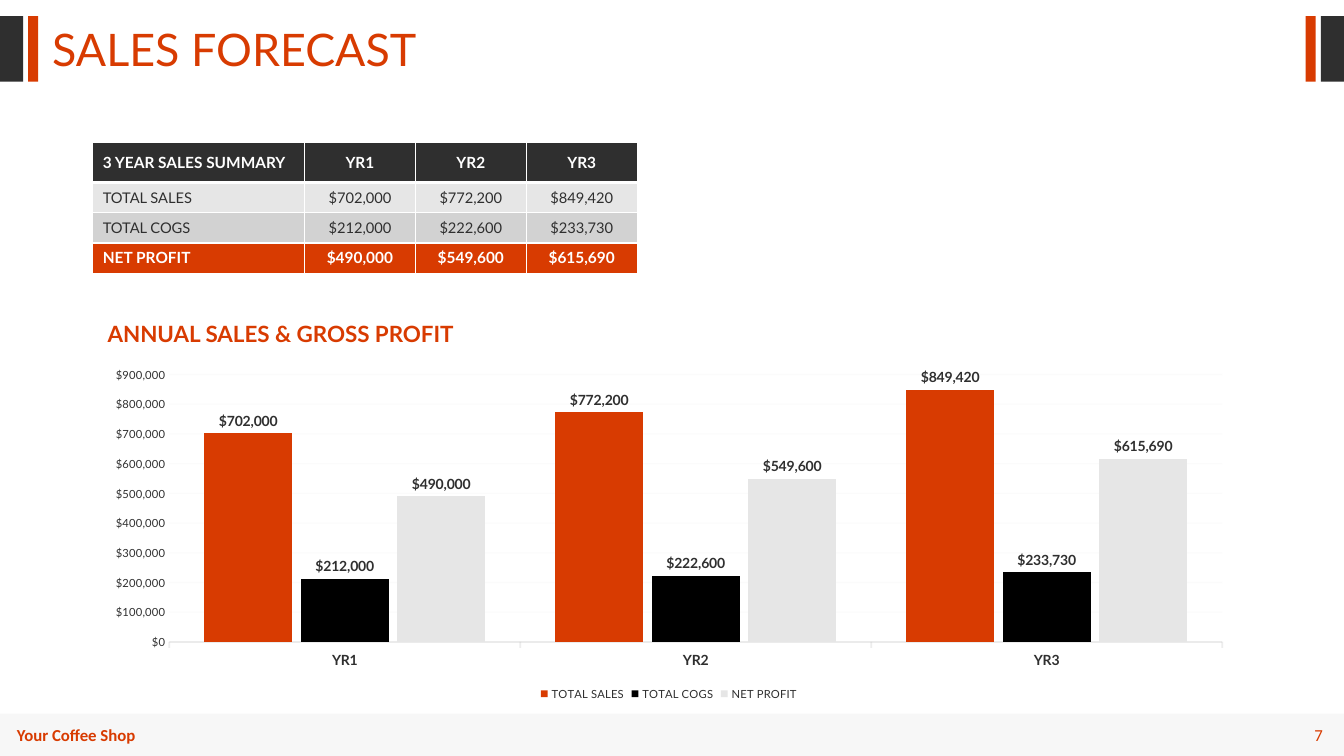
import lxml.etree
import pptx
import pptx.chart.data
import pptx.dml.color
import pptx.enum.chart
import pptx.enum.shapes
import pptx.enum.text
import pptx.oxml.ns
import pptx.util

Inches = pptx.util.Inches
Align = pptx.enum.text.PP_ALIGN
Anchor = pptx.enum.text.MSO_ANCHOR

ORANGE, DARK, LIGHT, MIDDLE, WHITE = "D83B01", "2F2F2F", "E6E6E6", "D2D2D2", "FFFFFF"
MONEY = '"$"#,##0'
YEARS = ["YR1", "YR2", "YR3"]
SALES = {
    "TOTAL SALES": [702000, 772200, 849420],
    "TOTAL COGS": [212000, 222600, 233730],
    "NET PROFIT": [490000, 549600, 615690],
}


def color(value):
    """Return the colour for a hex string."""
    return pptx.dml.color.RGBColor.from_string(value)


def paint(fill, value, opacity=100):
    """Fill solidly, with an opacity in percent."""
    fill.solid()
    fill.fore_color.rgb = color(value)
    if opacity < 100:
        tint = fill._xPr.find(".//" + pptx.oxml.ns.qn("a:srgbClr"))
        lxml.etree.SubElement(tint, pptx.oxml.ns.qn("a:alpha"), val=str(opacity * 1000))


def style_font(font, size, bold=False, value=DARK, name="Lato"):
    """Set the face, size, weight and colour of a font."""
    font.name, font.size, font.bold = name, pptx.util.Pt(size), bold
    font.color.rgb = color(value)


def write(frame, text, align=Align.LEFT, anchor=Anchor.TOP, spacing=None, **font):
    """Put one formatted paragraph into a text frame."""
    frame.vertical_anchor = anchor
    para = frame.paragraphs[0]
    para.alignment = align
    if spacing:
        para.line_spacing = spacing
    span = para.add_run()
    span.text = text
    style_font(span.font, **font)


def add_text(page, box, text, wrap=True, **formats):
    """Add a text box at left, top, width, height."""
    frame = page.shapes.add_textbox(*map(Inches, box)).text_frame
    frame.word_wrap = wrap
    write(frame, text, **formats)


def add_bar(page, box, value, opacity=100):
    """Add a plain rectangle without outline."""
    bar = page.shapes.add_shape(pptx.enum.shapes.MSO_SHAPE.RECTANGLE, *map(Inches, box))
    bar.shadow.inherit = False
    bar.line.fill.background()
    paint(bar.fill, value, opacity)


def add_header(page, left, top, width, height):
    """Place the title between mirrored pairs of edge bars."""
    for offset, thickness, value in [(0, 0.23, DARK), (0.28, 0.1, ORANGE)]:
        for edge in (left + offset, left + width - offset - thickness):
            add_bar(page, (edge, top, thickness, height), value)
    add_text(page, (left + 0.42, top + 0.11, 6.67, 0.54), "SALES FORECAST",
             spacing=0.8, size=32, value=ORANGE)


def add_footer(page, left, top, width, height):
    """Place the footer band with the shop name and page number."""
    add_bar(page, (left, top, width, height), LIGHT, opacity=30)
    font = dict(size=12, value=ORANGE, name="Calibri")
    add_text(page, (left + 0.07, top + 0.06, 1.84, 0.3), "Your Coffee Shop", bold=True, **font)
    add_text(page, (left + width - 0.98, top + 0.06, 0.87, 0.3), "7",
             align=Align.RIGHT, anchor=Anchor.MIDDLE, **font)


def add_borders(cell, bottom):
    """Draw white cell borders, with the bottom width in points."""
    for side, points in [("L", 1), ("R", 1), ("T", 1), ("B", bottom)]:
        line = lxml.etree.SubElement(cell._tc.get_or_add_tcPr(), pptx.oxml.ns.qn("a:ln" + side),
                                     w=str(pptx.util.Pt(points)))
        solid = lxml.etree.SubElement(line, pptx.oxml.ns.qn("a:solidFill"))
        lxml.etree.SubElement(solid, pptx.oxml.ns.qn("a:srgbClr"), val=WHITE)


def add_summary(page, left, top, width, height):
    """Place the three-year summary table."""
    rows = [["3 YEAR SALES SUMMARY", *YEARS]]
    rows += [[name, *(f"${amount:,}" for amount in amounts)] for name, amounts in SALES.items()]
    fills = [DARK, LIGHT, MIDDLE, ORANGE]
    table = page.shapes.add_table(len(rows), len(rows[0]),
                                  *map(Inches, (left, top, width, height))).table
    table.horz_banding = False
    for column, share in zip(table.columns, [2.1, 1.1, 1.1, 1.1]):
        column.width = Inches(width * share / 5.4)
    for row, share in zip(table.rows, [0.4, 0.3, 0.3, 0.3]):
        row.height = Inches(height * share / 1.3)
    for r, (texts, fill) in enumerate(zip(rows, fills)):
        strong = fill in (DARK, ORANGE)
        for c, text in enumerate(texts):
            cell = table.cell(r, c)
            add_borders(cell, bottom=1 if r else 3)
            paint(cell.fill, fill)
            cell.vertical_anchor = Anchor.MIDDLE
            write(cell.text_frame, text, align=Align.CENTER if c else Align.LEFT,
                  anchor=Anchor.MIDDLE, size=11 if strong else 10.5, bold=strong,
                  value=WHITE if strong else DARK)


def style_axes(chart):
    """Format the category and value axes."""
    tick = pptx.enum.chart.XL_TICK_MARK
    years, amounts = chart.category_axis, chart.value_axis
    years.major_tick_mark = tick.OUTSIDE
    style_font(years.tick_labels.font, 10, bold=True)
    years.format.line.width = pptx.util.Pt(1.25)
    paint(years.format.line.fill, "BFBFBF", opacity=27)
    amounts.minimum_scale, amounts.maximum_scale, amounts.major_unit = 0, 900000, 100000
    amounts.major_tick_mark = tick.NONE
    amounts.format.line.fill.background()
    amounts.tick_labels.number_format = MONEY
    amounts.tick_labels.number_format_is_linked = False
    grid = amounts.major_gridlines.format.line
    grid.width = pptx.util.Pt(0.75)
    paint(grid.fill, "F2F2F2", opacity=30)


def add_sales_chart(page, left, top, width, height):
    """Place the chart heading and the clustered columns under it."""
    add_text(page, (left, top, 3.73, 0.37), "ANNUAL SALES & GROSS PROFIT", wrap=False,
             align=Align.CENTER, size=16, bold=True, value=ORANGE)
    data = pptx.chart.data.CategoryChartData(number_format=MONEY)
    data.categories = YEARS
    for name, amounts in SALES.items():
        data.add_series(name, amounts)
    chart = page.shapes.add_chart(pptx.enum.chart.XL_CHART_TYPE.COLUMN_CLUSTERED,
                                  *map(Inches, (left, top + 0.45, width, height - 0.45)), data).chart
    style_font(chart.font, 8)
    chart.has_title = False
    chart.has_legend = True
    chart.legend.position = pptx.enum.chart.XL_LEGEND_POSITION.BOTTOM
    chart.legend.include_in_layout = False
    style_axes(chart)
    plot = chart.plots[0]
    plot.gap_width, plot.overlap, plot.vary_by_categories = 80, -10, False
    for series, value in zip(plot.series, [ORANGE, "000000", LIGHT]):
        paint(series.format.fill, value)
        labels = series.data_labels
        labels.show_value = True
        labels.position = pptx.enum.chart.XL_LABEL_POSITION.OUTSIDE_END
        labels.number_format, labels.number_format_is_linked = MONEY, False
        style_font(labels.font, 10, bold=True)


def main():
    """Build and save the sales forecast slide."""
    deck = pptx.Presentation()
    deck.slide_width, deck.slide_height = Inches(13.33), Inches(7.5)
    page = deck.slides.add_slide(deck.slide_layouts[6])
    add_footer(page, 0, 7.08, 13.33, 0.42)
    add_header(page, 0, 0.16, 13.33, 0.65)
    add_summary(page, 0.92, 1.41, 5.4, 1.3)
    add_sales_chart(page, 0.92, 3.13, 11.43, 3.86)
    deck.save("out.pptx")


if __name__ == "__main__":
    main()
